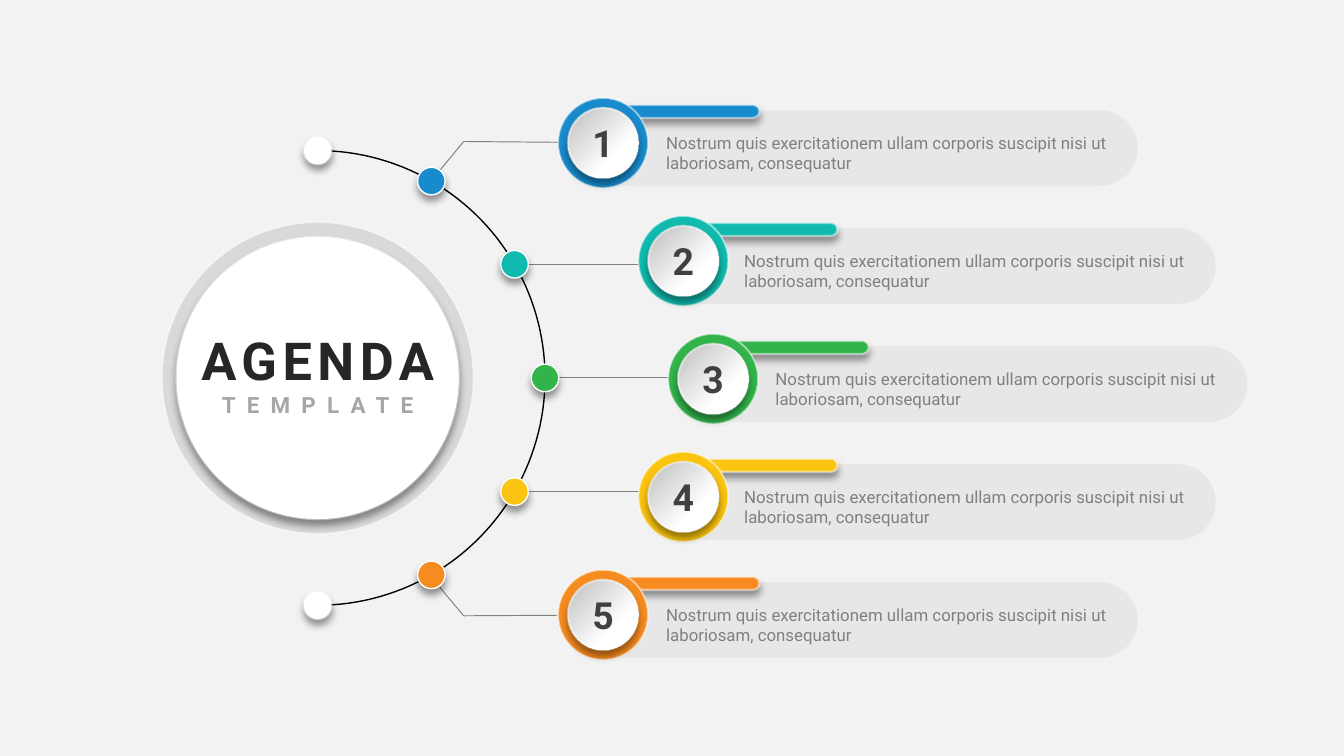
"""Build the agenda slide: a title disc, an arc of dots and five numbered cards."""
import math
from typing import NamedTuple, Optional

from lxml import etree
from pptx import Presentation
from pptx import util as u
from pptx.dml import color
from pptx.enum import shapes, text
from pptx.oxml import ns

COLOURS = {
    "page": "F2F2F2", "white": "FFFFFF", "black": "000000", "panel": "D9D9D9",
    "wire": "808080", "body": "808080", "number": "404040", "silver": "C7C7C7",
    "title": "262626", "subtitle": "A6A6A6",
    "blue": "188BCC", "teal": "10BAAE", "green": "32B44A",
    "yellow": "FBC410", "orange": "F68B1F",
}
FONT = "Roboto"
BODY = "Nostrum quis exercitationem ullam corporis suscipit nisi ut laboriosam, consequatur"
CENTRE_X, CENTRE_Y, ARC_RADIUS = 170.2, 202.5, 121.8
DOT_RADIUS = 7.4
FIRST_TOP, PITCH, RING = 52.5, 63.2, 48.2
OVAL = shapes.MSO_SHAPE.OVAL
PILL = shapes.MSO_SHAPE.ROUNDED_RECTANGLE


class Outline(NamedTuple):
    width: float
    opacity: int = 100


class Item(NamedTuple):
    colour: str
    angle: int
    ring_left: float
    card_left: float
    wire: tuple


THIN, RIM, SOFT, FIRM = Outline(0.75), Outline(1, 52), Outline(1.25, 42), Outline(1.25, 48)
ITEMS = (
    Item("blue", -60, 299, 304, ((232.6, 95), (248.4, 75.8), (304.6, 76.3))),
    Item("teal", -30, 342, 345.8, ((276.5, 141.6), (352.8, 141.6))),
    Item("green", 0, 358, 362.6, ((292.2, 202.3), (367.9, 202.3))),
    Item("yellow", 30, 342, 345.8, ((276.5, 263.4), (352.8, 263.4))),
    Item("orange", 60, 299, 304, ((232.6, 311), (248.4, 329.9), (304.6, 329.6))),
)


def rgb(name: str) -> color.RGBColor:
    return color.RGBColor.from_string(COLOURS[name])


def fade(parent, opacity: int) -> None:
    tint = next(parent.iter(ns.qn("a:srgbClr")))
    etree.SubElement(tint, ns.qn("a:alpha"), val=str(opacity * 1000))


def cast_shadow(shape) -> None:
    effects = shape._element.spPr.find(ns.qn("a:effectLst"))
    shadow = etree.SubElement(effects, ns.qn("a:outerShdw"), blurRad=str(u.Pt(4)),
                              dist=str(u.Pt(3)), dir="5400000", algn="t", rotWithShape="0")
    etree.SubElement(shadow, ns.qn("a:srgbClr"), val=COLOURS["black"])
    fade(shadow, 40)


def draw_shape(page, kind, left: float, top: float, width: float, height: float, fill: str,
               outline: Optional[Outline] = None, shadow: bool = False):
    shape = page.shapes.add_shape(kind, u.Pt(left), u.Pt(top), u.Pt(width), u.Pt(height))
    shape.shadow.inherit = False
    shape.fill.solid()
    shape.fill.fore_color.rgb = rgb(fill)
    if kind == PILL:
        shape.adjustments[0] = 0.5
    if outline is None:
        shape.line.fill.background()
    else:
        shape.line.color.rgb = rgb("white")
        shape.line.width = u.Pt(outline.width)
        if outline.opacity < 100:
            fade(shape._element.spPr.find(ns.qn("a:ln")), outline.opacity)
    if shadow:
        cast_shadow(shape)
    return shape


def draw_disc(page, x: float, y: float, radius: float, fill: str, outline: Outline,
              shadow: bool = True):
    return draw_shape(page, OVAL, x - radius, y - radius, 2 * radius, 2 * radius,
                      fill, outline, shadow)


def add_span(para, words: str, size: float, colour: str, bold: bool = False,
             spacing: float = 0) -> None:
    span = para.add_run()
    span.text = words
    span.font.name = FONT
    span.font.size = u.Pt(size)
    span.font.bold = bold
    span.font.color.rgb = rgb(colour)
    if spacing:
        span.font._element.set("spc", str(int(spacing * 100)))


def draw_wire(page, points: tuple) -> None:
    for (x1, y1), (x2, y2) in zip(points, points[1:]):
        wire = page.shapes.add_connector(shapes.MSO_CONNECTOR.STRAIGHT,
                                         u.Pt(x1), u.Pt(y1), u.Pt(x2), u.Pt(y2))
        wire.line.color.rgb = rgb("wire")
        wire.line.width = u.Pt(0.5)
        etree.SubElement(wire._element.spPr, ns.qn("a:effectLst"))


def arc_point(angle: float) -> tuple:
    turn = math.radians(angle)
    return CENTRE_X + ARC_RADIUS * math.cos(turn), CENTRE_Y + ARC_RADIUS * math.sin(turn)


def draw_arc(page) -> None:
    points = [tuple(u.Pt(value) for value in arc_point(angle)) for angle in range(-90, 91, 2)]
    builder = page.shapes.build_freeform(*points[0])
    builder.add_line_segments(points[1:], close=False)
    arc = builder.convert_to_shape()
    arc.shadow.inherit = False
    arc.fill.background()
    arc.line.color.rgb = rgb("black")
    arc.line.width = u.Pt(0.75)


def draw_card(page, number: int, item: Item) -> None:
    top = FIRST_TOP + (number - 1) * PITCH
    panel = draw_shape(page, PILL, item.card_left, top + 6.6, 305.5, 40.6, "panel")
    fade(panel._element.spPr, 42)
    draw_shape(page, PILL, item.card_left + 15.1, top + 3.7, 87.8, 7.0, item.colour, FIRM, True)
    x, y = item.ring_left + RING / 2, top + RING / 2
    draw_disc(page, x, y, RING / 2, item.colour, RIM, False)

    badge = draw_disc(page, x, y, 18.8, "white", SOFT)
    badge.fill.gradient()
    badge.fill.gradient_angle = 315
    for stop, (position, colour) in zip(badge.fill.gradient_stops,
                                        ((0.09, "silver"), (0.68, "white"))):
        stop.position = position
        stop.color.rgb = rgb(colour)
    frame = badge.text_frame
    frame.word_wrap = False
    frame.vertical_anchor = text.MSO_ANCHOR.MIDDLE
    para = frame.paragraphs[0]
    para.alignment = text.PP_ALIGN.CENTER
    add_span(para, str(number), 20, "number", True)

    box = page.shapes.add_textbox(u.Pt(item.card_left + 45.8), u.Pt(top + 11.5),
                                  u.Pt(257), u.Pt(38.9))
    frame = box.text_frame
    frame.word_wrap = True
    frame.margin_left = frame.margin_right = u.Pt(7.2)
    frame.margin_top = frame.margin_bottom = u.Pt(7.2)
    add_span(frame.paragraphs[0], BODY, 9, "body")


def place_title(page) -> None:
    title = page.shapes.title
    page.shapes._spTree.append(title._element)
    title.left, title.top, title.width, title.height = map(u.Pt, (84.2, 172.1, 172.1, 55.4))
    frame = title.text_frame
    frame.word_wrap = True
    frame.auto_size = text.MSO_AUTO_SIZE.NONE
    frame.vertical_anchor = text.MSO_ANCHOR.TOP
    lines = (("AGENDA", 28, "title", 3), ("TEMPLATE", 12, "subtitle", 6))
    for index, (words, size, colour, spacing) in enumerate(lines):
        para = frame.add_paragraph() if index else frame.paragraphs[0]
        para.alignment = text.PP_ALIGN.CENTER
        para.line_spacing = 1.0
        para.space_before = u.Pt(0)
        add_span(para, words, size, colour, True, spacing)


def main() -> None:
    deck = Presentation()
    deck.slide_width, deck.slide_height = u.Pt(720), u.Pt(405)
    page = deck.slides.add_slide(deck.slide_layouts.get_by_name("Title Only"))
    page.background.fill.solid()
    page.background.fill.fore_color.rgb = rgb("page")

    for item in ITEMS:
        draw_wire(page, item.wire)
    draw_arc(page)
    for angle in (-90, 90):
        draw_disc(page, *arc_point(angle), DOT_RADIUS, "white", SOFT)
    for item in ITEMS:
        draw_disc(page, *arc_point(item.angle), DOT_RADIUS, item.colour, THIN)
    for number, item in enumerate(ITEMS, start=1):
        draw_card(page, number, item)
    draw_disc(page, CENTRE_X, CENTRE_Y, 83.5, "panel", RIM, False)
    draw_disc(page, CENTRE_X, CENTRE_Y, 75.6, "white", SOFT)
    place_title(page)
    deck.save("out.pptx")


if __name__ == "__main__":
    main()
